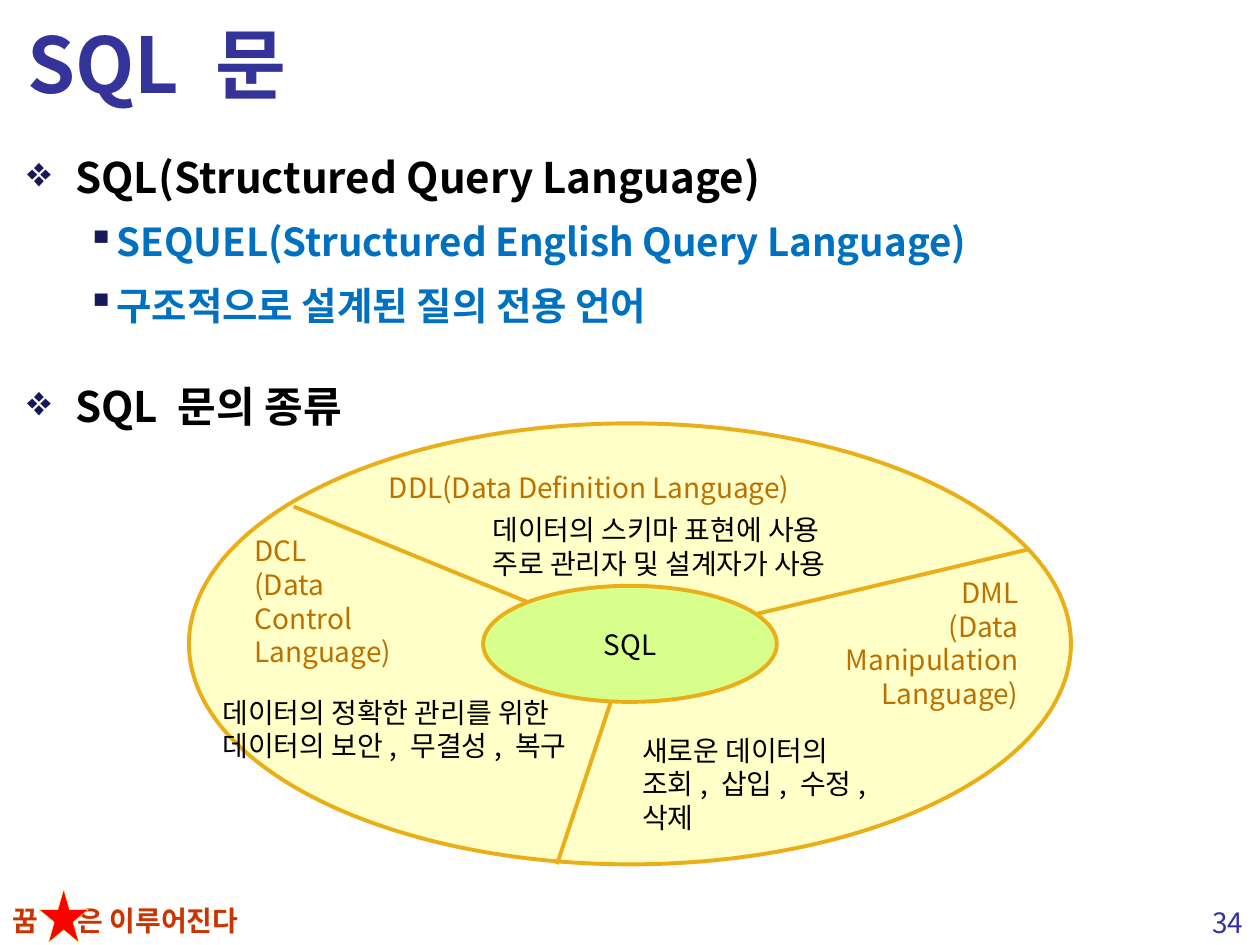
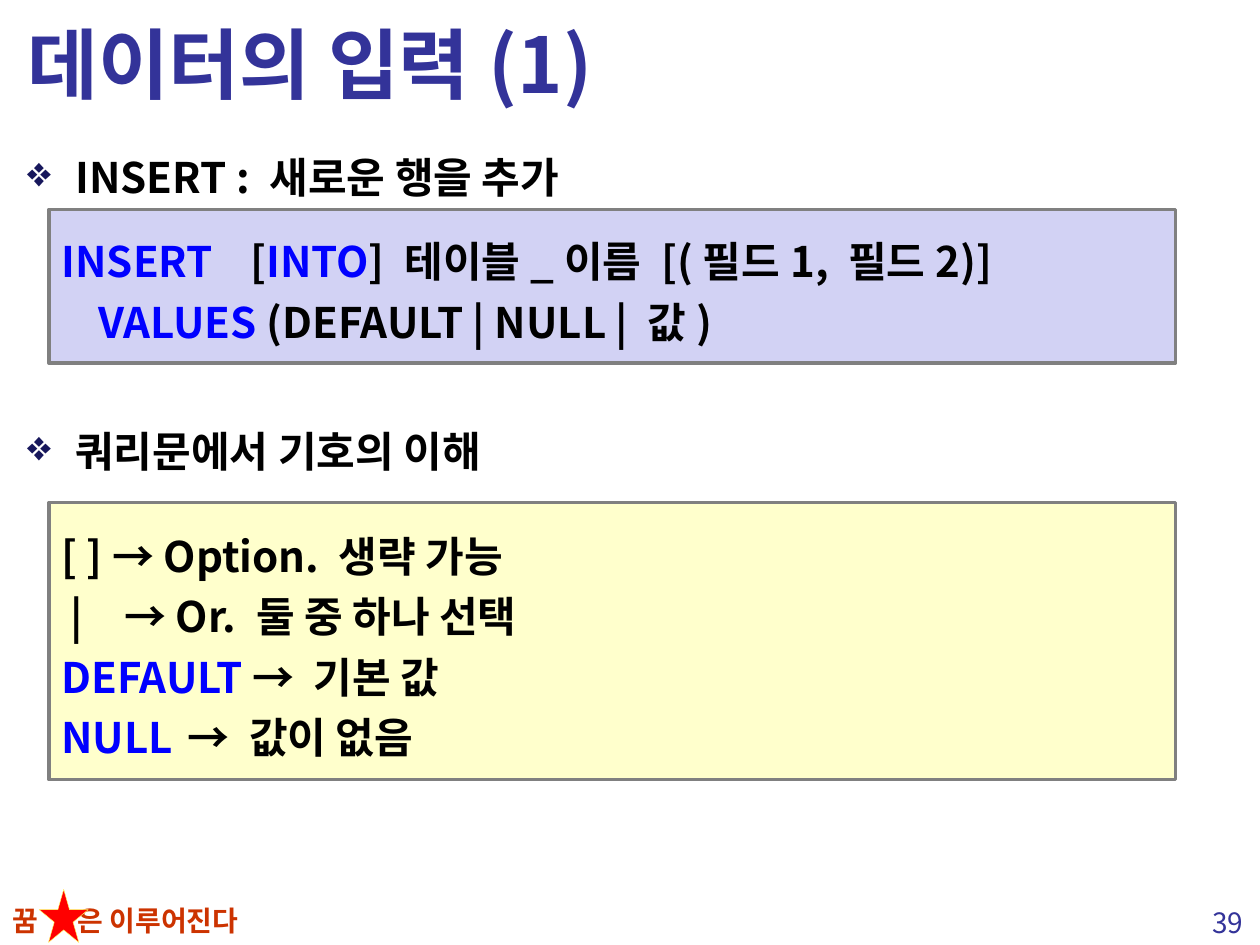
from dataclasses import dataclass

from lxml import etree
from pptx import Presentation
from pptx import util as u
from pptx.dml.color import RGBColor
from pptx.enum import shapes, text
from pptx.oxml import ns

# ---- Content ----
MOTTO = ("꿈", "은 이루어진다")

STATEMENT_TITLE, STATEMENT_PAGE = "SQL 문", "34"
# (level, wording, space before in points)
STATEMENT_POINTS = [
    (0, "SQL(Structured Query Language)", 4.8),
    (1, "SEQUEL(Structured English Query Language)", 4.4),
    (1, "구조적으로 설계된 질의 전용 언어", 4.4),
    (0, "SQL 문의 종류", 24.3),
]
HUB = "SQL"
SPOKE_ENDS = [(5.92, 10.21), (20.75, 11.07), (11.23, 17.42)]
# (left, top, width, colour role, alignment, lines)
SECTORS = [
    (7.59, 9.37, 11.02, "sector", "LEFT", ["DDL(Data Definition Language)"]),
    (4.88, 10.64, 3.96, "sector", "LEFT", ["DCL", "(Data", "Control", "Language)"]),
    (15.88, 11.48, 4.9, "sector", "RIGHT", ["DML", "(Data", "Manipulation", "Language)"]),
    (12.7, 14.66, 6.05, "ink", "LEFT", ["새로운 데이터의", "조회, 삽입, 수정, 삭제"]),
    (9.68, 10.21, 8.18, "ink", "LEFT", ["데이터의 스키마 표현에 사용", "주로 관리자 및 설계자가 사용"]),
    (4.24, 13.89, 7.95, "ink", "LEFT", ["데이터의 정확한 관리를 위한", "데이터의 보안, 무결성, 복구"]),
]

INSERT_TITLE, INSERT_PAGE = "데이터의 입력(1)", "39"
INSERT_POINTS = [
    (0, "INSERT : 새로운 행을 추가", 4.8),
    (0, "쿼리문에서 기호의 이해", 122),
]
# Each line: (indent cm, tab stop cm or None, [(wording, colour role), ...])
SYNTAX = [
    (0, 3.43, [("INSERT", "keyword"), ("\t[", "ink"), ("INTO", "keyword"),
               ("] 테이블_이름 [(필드1, 필드2)]", "ink")]),
    (0.75, None, [("VALUES", "keyword"), (" (DEFAULT | NULL | 값)", "ink")]),
]
SYMBOLS = [
    (0, None, [("[ ] → Option. 생략 가능", "ink")]),
    (0, 0.83, [(" |\t→ Or. 둘 중 하나 선택", "ink")]),
    (0, None, [("DEFAULT", "keyword"), (" → 기본 값", "ink")]),
    (0, 3.4, [("NULL", "keyword"), ("\t→ 값이 없음", "ink")]),
]


# ---- Theme ----
@dataclass(frozen=True)
class Theme:
    font: str = "Noto Sans CJK KR"
    title: str = "333399"
    ink: str = "000000"
    point: str = "0070C0"
    bullet: str = "17175C"
    keyword: str = "0000FF"
    sector: str = "BC7000"
    motto: str = "CC3300"
    star: str = "FF0000"
    star_edge: str = "FFFF66"
    wheel: str = "FFFFC7"
    hub: str = "D8FF8B"
    wheel_edge: str = "EAAE18"
    syntax: str = "D2D2F4"
    symbols: str = "FFFFCC"
    panel_edge: str = "808080"
    title_size: int = 44
    head_size: int = 24
    point_size: int = 22
    small_size: int = 16


THEME = Theme()
LEVELS = [  # text indent cm, hanging cm, bullet, size, colour
    (0.97, 0.97, "❖", THEME.head_size, THEME.ink),
    (1.8, 0.6, "▪", THEME.point_size, THEME.point),
]


# ---- Helpers ----
def place(*lengths):
    return [u.Cm(length) for length in lengths]


def sub(parent, tag, **attributes):
    return etree.SubElement(parent, ns.qn(tag), attributes)


def style(paragraph, size, colour, bold=False):
    for run in paragraph.runs:
        font = run.font
        font.name, font.size, font.bold = THEME.font, u.Pt(size), bold
        font.color.rgb = RGBColor.from_string(colour)
        sub(run._r.get_or_add_rPr(), "a:ea", typeface=THEME.font)


def indent(paragraph, left, hanging=0):
    props = paragraph._p.get_or_add_pPr()
    props.set("marL", str(u.Cm(left)))
    props.set("indent", str(-u.Cm(hanging)))
    return props


def label(slide, box, wording, size, colour, bold=False, align="LEFT", anchor="TOP"):
    frame = slide.shapes.add_textbox(*place(*box)).text_frame
    frame.word_wrap = True
    frame.vertical_anchor = text.MSO_ANCHOR[anchor]
    frame.text = wording
    for paragraph in frame.paragraphs:
        paragraph.alignment = text.PP_ALIGN[align]
        style(paragraph, size, colour, bold)
    return frame


def figure(slide, kind, box, fill, edge, weight):
    shape = slide.shapes.add_shape(kind, *place(*box))
    shape.shadow.inherit = False
    shape.fill.solid()
    shape.fill.fore_color.rgb = RGBColor.from_string(fill)
    shape.line.color.rgb = RGBColor.from_string(edge)
    shape.line.width = u.Pt(weight)
    return shape


def outline(slide, points):
    frame = label(slide, (0.3, 2.72, 24.87, 15.34),
                  "\n".join(wording for _, wording, _ in points),
                  THEME.head_size, THEME.ink)
    for paragraph, (level, _, gap) in zip(frame.paragraphs, points):
        left, hanging, bullet, size, colour = LEVELS[level]
        style(paragraph, size, colour, bold=True)
        paragraph.line_spacing = 1.2
        paragraph.space_before = u.Pt(gap)
        props = indent(paragraph, left, hanging)
        sub(sub(props, "a:buClr"), "a:srgbClr", val=THEME.bullet)
        sub(props, "a:buChar", char=bullet)


def code_panel(slide, top, height, fill, lines):
    panel = figure(slide, shapes.MSO_SHAPE.RECTANGLE, (0.99, top, 22.71, height),
                   fill, THEME.panel_edge, 2)
    frame = panel.text_frame
    frame.word_wrap = True
    frame.vertical_anchor = text.MSO_ANCHOR.MIDDLE
    frame.text = "\n" * (len(lines) - 1)
    for paragraph, (left, tab, parts) in zip(frame.paragraphs, lines):
        paragraph.alignment = text.PP_ALIGN.LEFT
        paragraph.line_spacing = 1.2
        props = indent(paragraph, left)
        if tab:
            sub(sub(props, "a:tabLst"), "a:tab", pos=str(u.Cm(tab)), algn="l")
        for wording, _ in parts:
            paragraph.add_run().text = wording
        style(paragraph, THEME.head_size, THEME.ink, bold=True)
        for run, (_, role) in zip(paragraph.runs, parts):
            run.font.color.rgb = RGBColor.from_string(getattr(THEME, role))


def start_slide(deck, title, page, points):
    slide = deck.slides.add_slide(deck.slide_layouts[6])
    # Footer: motto around the star, page number
    for left, width, wording in zip((0, 1.32), (1.3, 4.98), MOTTO):
        label(slide, (left, 18.08, width, 0.94), wording,
              THEME.small_size, THEME.motto, bold=True)
    figure(slide, shapes.MSO_SHAPE.STAR_5_POINT, (0.79, 17.93, 0.99, 1.07),
           THEME.star, THEME.star_edge, 0.25)
    label(slide, (24.1, 18.14, 1.3, 0.94), page,
          THEME.small_size, THEME.title, align="CENTER")
    # Title and outline
    label(slide, (0.3, 0.15, 24.8, 2.24), title,
          THEME.title_size, THEME.title, bold=True, anchor="MIDDLE")
    outline(slide, points)
    return slide


# ---- Slides ----
def statement_slide(deck):
    slide = start_slide(deck, STATEMENT_TITLE, STATEMENT_PAGE, STATEMENT_POINTS)
    centre_x, centre_y = 12.7, 12.98

    def ring(width, height, fill):
        box = (centre_x - width / 2, centre_y - height / 2, width, height)
        return figure(slide, shapes.MSO_SHAPE.OVAL, box, fill, THEME.wheel_edge, 2.25)

    # Wheel, spokes, then the hub over their inner ends
    ring(17.78, 8.89, THEME.wheel)
    for end in SPOKE_ENDS:
        spoke = slide.shapes.add_connector(
            shapes.MSO_CONNECTOR.STRAIGHT, *place(centre_x, centre_y, *end))
        spoke.line.color.rgb = RGBColor.from_string(THEME.wheel_edge)
        spoke.line.width = u.Pt(2.25)
        sub(spoke._element.spPr, "a:effectLst")
    hub = ring(5.92, 2.34, THEME.hub).text_frame
    hub.text = HUB
    hub.vertical_anchor = text.MSO_ANCHOR.MIDDLE
    hub.paragraphs[0].alignment = text.PP_ALIGN.CENTER
    style(hub.paragraphs[0], THEME.small_size, THEME.ink)

    # Sector names and uses
    for left, top, width, role, align, lines in SECTORS:
        label(slide, (left, top, width, 0.25 + 0.68 * len(lines)), "\n".join(lines),
              THEME.small_size, getattr(THEME, role), align=align)


def insert_slide(deck):
    slide = start_slide(deck, INSERT_TITLE, INSERT_PAGE, INSERT_POINTS)
    code_panel(slide, 4.22, 3.1, THEME.syntax, SYNTAX)
    code_panel(slide, 10.13, 5.59, THEME.symbols, SYMBOLS)


def main():
    deck = Presentation()
    deck.slide_width, deck.slide_height = place(25.4, 19.05)
    statement_slide(deck)
    insert_slide(deck)
    deck.save("out.pptx")


if __name__ == "__main__":
    main()
